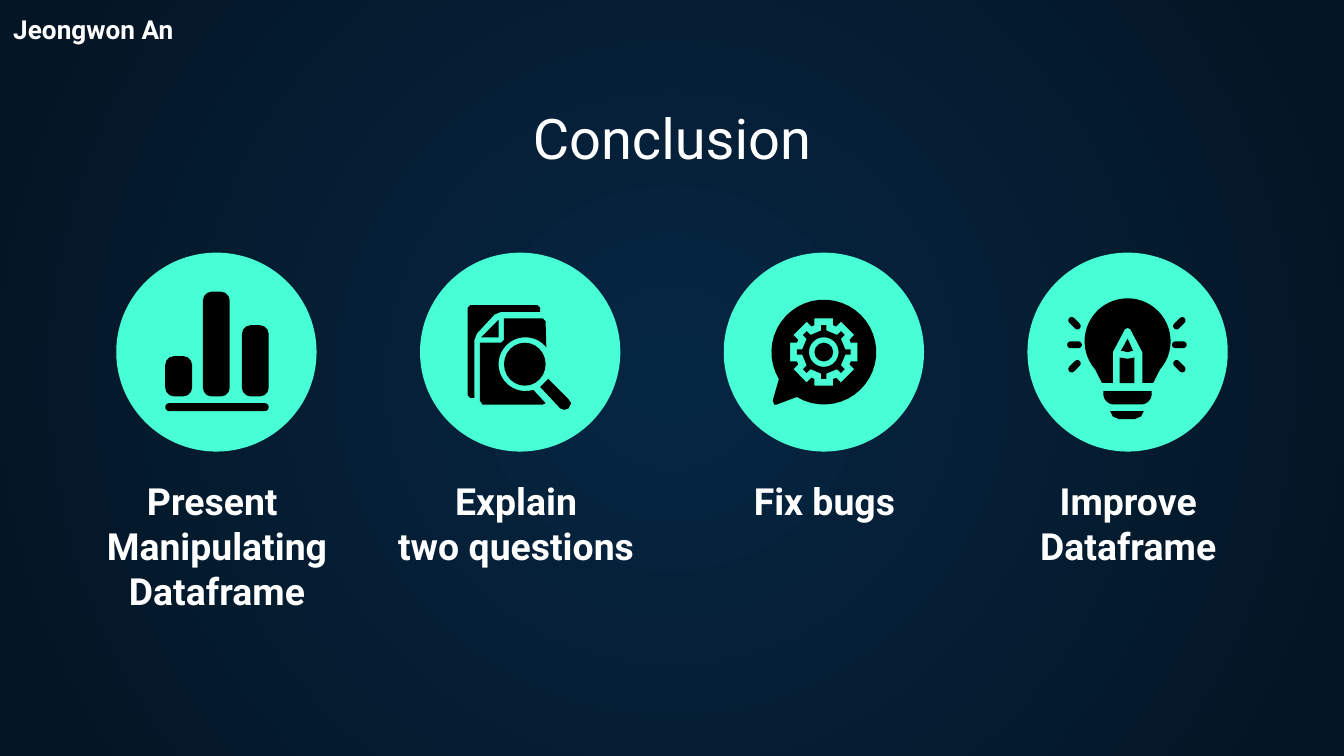
"""Build a conclusion slide with four captioned icons."""
import math

import pptx
import pptx.dml.color
import pptx.enum.shapes
import pptx.enum.text
import pptx.oxml
import pptx.oxml.ns
import pptx.util

Inches = pptx.util.Inches
PRESET = pptx.enum.shapes.MSO_SHAPE
ALIGN = pptx.enum.text.PP_ALIGN
ANCHOR = pptx.enum.text.MSO_ANCHOR

MINT, BLACK, WHITE = "48FFD5", "000000", "FFFFFF"
GLOW, NIGHT = "052643", "041523"
FIRST_X, PITCH, CENTER_Y = 1.61, 2.26, 2.62
DISC_W, DISC_H = 1.49, 1.48


def arc(cx, cy, radius, start, end, steps=40):
    angles = [math.radians(start + (end - start) * i / steps) for i in range(steps + 1)]
    return [(cx + radius * math.cos(a), cy + radius * math.sin(a)) for a in angles]


def gear(root, tip, half, teeth=8):
    points = []
    for tooth in range(teeth):
        a = 2 * math.pi * tooth / teeth
        for r, side in [(root, -half), (tip, -half), (tip, half), (root, half)]:
            points.append((r * math.cos(a) - side * math.sin(a),
                           r * math.sin(a) + side * math.cos(a)))
    return points


def bar(left, top, width, height, corner=0.33, turn=0):
    return "bar", (left, top, width, height), corner, turn


def oval(left, top, width, height):
    return "oval", (left, top, width, height), None, 0


def outline(*contours):
    return "outline", contours, None, 0


BAR_CHART = [
    bar(-0.38, 0.38, 0.77, 0.06, corner=0.5),
    bar(-0.38, 0.03, 0.2, 0.3),
    bar(-0.1, -0.45, 0.2, 0.78),
    bar(0.19, -0.2, 0.2, 0.53),
]
DOCUMENT_SEARCH = [
    outline([(-0.39, -0.33), (-0.37, -0.35), (0.13, -0.35), (0.15, -0.33), (0.15, -0.3),
             (-0.14, -0.3), (-0.19, -0.28), (-0.32, -0.14), (-0.34, -0.09), (-0.34, 0.34),
             (-0.37, 0.34), (-0.39, 0.32)]),
    outline([(-0.16, -0.24), (-0.29, -0.11), (-0.16, -0.11)]),
    oval(-0.12, -0.07, 0.31, 0.32),
    outline([(-0.12, -0.25), (-0.12, -0.09), (-0.14, -0.07), (-0.3, -0.07), (-0.3, 0.36),
             (-0.28, 0.39), (0.17, 0.39), (0.19, 0.38)]
            + arc(0.04, 0.09, 0.2, 73, 321) + [(0.19, -0.23), (0.17, -0.25)]),
    outline([(0.21, 0.2), (0.36, 0.35), (0.38, 0.38), (0.36, 0.42), (0.33, 0.43),
             (0.3, 0.42), (0.15, 0.26)]),
]
GEAR_BUBBLE = [
    outline(arc(0, 0, 0.39, 121, -211)
            + [(-0.38, 0.36), (-0.37, 0.39), (-0.35, 0.39)], gear(0.2, 0.25, 0.07)),
    outline(gear(0.16, 0.2, 0.02), arc(0, 0, 0.11, 0, 360)),
    oval(-0.07, -0.07, 0.14, 0.14),
]
IDEA_BULB = [
    outline(arc(0, -0.08, 0.32, 139, 401)
            + [(0.19, 0.23), (0.11, 0.23), (0.11, 0), (0.02, -0.17), (0, -0.18),
               (-0.02, -0.17), (-0.11, 0), (-0.11, 0.23), (-0.19, 0.23)]),
    outline([(-0.06, 0.04), (0, 0.05), (0.05, 0.04), (0.05, 0.23), (-0.06, 0.23)]),
    outline([(0, -0.1), (-0.05, -0.01), (0, 0), (0.04, -0.01)]),
    outline([(-0.18, 0.29), (0.18, 0.29), (0.18, 0.31)] + arc(0.1, 0.31, 0.08, 0, 90)
            + arc(-0.1, 0.31, 0.08, 90, 180)),
    outline([(-0.13, 0.44), (0.12, 0.44), (0.1, 0.48), (0.05, 0.5), (-0.06, 0.5),
             (-0.11, 0.48)]),
] + [
    bar(side * 0.39 - 0.06, -0.08 + 0.16 * row, 0.11, 0.05, corner=0.5, turn=side * 45 * row)
    for side in (-1, 1) for row in (-1, 0, 1)
]

TITLE = "Conclusion"
AUTHOR = "Jeongwon An"
STEPS = [
    (["Present ", "Manipulating Dataframe"], 1.21, BAR_CHART),
    (["Explain ", "two questions "], 0.88, DOCUMENT_SEARCH),
    (["Fix bugs"], 0.54, GEAR_BUBBLE),
    (["Improve", "Dataframe"], 1.21, IDEA_BULB),
]


def rgb(value):
    return pptx.dml.color.RGBColor.from_string(value)


def place(shape, left, top, width, height):
    shape.left, shape.top = Inches(left), Inches(top)
    shape.width, shape.height = Inches(width), Inches(height)


def write(shape, lines, size=20, bold=False, align=ALIGN.CENTER, anchor=ANCHOR.TOP):
    frame = shape.text_frame
    frame.word_wrap = True
    frame.auto_size = pptx.enum.text.MSO_AUTO_SIZE.NONE
    frame.vertical_anchor = anchor
    frame.margin_left = frame.margin_right = Inches(0.1)
    frame.margin_top = frame.margin_bottom = Inches(0.1)
    for number, line in enumerate(lines):
        paragraph = frame.paragraphs[0] if number == 0 else frame.add_paragraph()
        properties = paragraph._p.get_or_add_pPr()
        properties.set("marL", "0")
        properties.set("indent", "0")
        properties.append(pptx.oxml.parse_xml(
            f"<a:buNone {pptx.oxml.ns.nsdecls('a')}/>"))
        paragraph.alignment = align
        paragraph.space_before = paragraph.space_after = pptx.util.Pt(0)
        paragraph.line_spacing = 1.0
        run = paragraph.add_run()
        run.text = line
        run.font.name, run.font.size = "Roboto", pptx.util.Pt(size)
        run.font.bold, run.font.color.rgb = bold, rgb(WHITE)


def paint(shape, color):
    shape.shadow.inherit = False
    shape.fill.solid()
    shape.fill.fore_color.rgb = rgb(color)
    shape.line.fill.background()


def draw_part(shapes, part, center_x, color=BLACK):
    kind, geometry, corner, turn = part
    if kind == "outline":
        contours = [[(Inches(center_x + x), Inches(CENTER_Y + y)) for x, y in contour]
                    for contour in geometry]
        builder = shapes.build_freeform(*contours[0][0])
        builder.add_line_segments(contours[0][1:], close=True)
        for contour in contours[1:]:
            builder.move_to(*contour[0])
            builder.add_line_segments(contour[1:], close=True)
        shape = builder.convert_to_shape()
    else:
        left, top, width, height = geometry
        preset = PRESET.OVAL if kind == "oval" else PRESET.ROUNDED_RECTANGLE
        shape = shapes.add_shape(preset, Inches(center_x + left), Inches(CENTER_Y + top),
                                 Inches(width), Inches(height))
        shape.rotation = turn
        if corner is not None:
            shape.adjustments[0] = corner
    paint(shape, color)


def fill_background(slide):
    fill = slide.background.fill
    fill.gradient()
    for stop, color in zip(fill.gradient_stops, (GLOW, NIGHT)):
        stop.color.rgb = rgb(color)
    gradient = slide._element.xpath(".//p:bg//a:gradFill")[0]
    for linear in gradient.xpath("./a:lin"):
        gradient.remove(linear)
    gradient.append(pptx.oxml.parse_xml(
        f'<a:path {pptx.oxml.ns.nsdecls("a")} path="circle">'
        '<a:fillToRect l="50000" t="50000" r="50000" b="50000"/></a:path>'))


def main():
    deck = pptx.Presentation()
    deck.slide_width, deck.slide_height = Inches(10), Inches(10 * 9 / 16)
    slide = deck.slides.add_slide(deck.slide_layouts.get_by_name("Comparison"))
    fill_background(slide)
    title, *captions = list(slide.placeholders)[:1 + len(STEPS)]
    place(title, 0.34, 0.71, 9.32, 0.66)
    write(title, [TITLE], size=30, anchor=ANCHOR.BOTTOM)
    author = slide.shapes.add_textbox(0, 0, Inches(2.78), Inches(0.69))
    write(author, [AUTHOR], size=14, bold=True, align=ALIGN.LEFT)
    disc = oval(-DISC_W / 2, -DISC_H / 2, DISC_W, DISC_H)
    for number, (caption, (lines, height, icon)) in enumerate(zip(captions, STEPS)):
        center_x = FIRST_X + PITCH * number
        place(caption, center_x - 1.03, 3.46, 2.07, height)
        write(caption, lines, bold=True)
        group = slide.shapes.add_group_shape()
        draw_part(group.shapes, disc, center_x, MINT)
        for part in icon:
            draw_part(group.shapes, part, center_x)
    deck.save("out.pptx")


if __name__ == "__main__":
    main()
